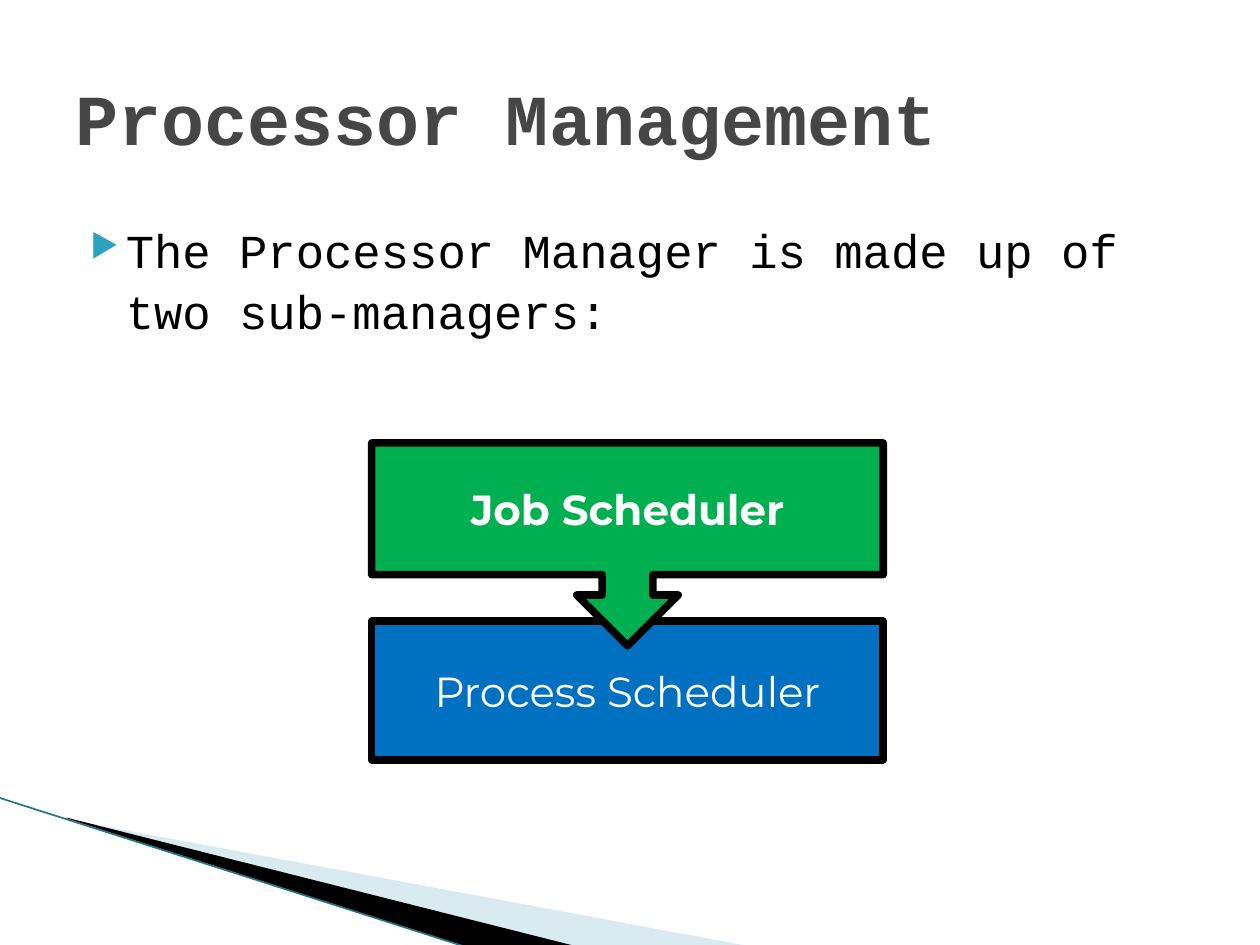
from dataclasses import dataclass

from lxml import etree
from pptx import Presentation
from pptx import util as u
from pptx.dml.color import RGBColor
from pptx.enum import shapes, text
from pptx.oxml import ns

Pt = u.Pt


@dataclass(frozen=True)
class Theme:
    title: str = "464646"
    ink: str = "000000"
    white: str = "FFFFFF"
    bullet: str = "2DA2BF"
    job: str = "00B050"
    process: str = "0070C0"
    swoosh: str = "A0CBDC"
    edge: str = "21768A"
    mono: str = "Courier New"
    sans: str = "Montserrat"
    title_size: float = 41
    body_size: float = 27
    box_size: float = 24
    outline: float = 4.33
    edge_width: float = 0.95


T = Theme()


def rgb(color):
    return RGBColor.from_string(color)


def add_run(p, words, font, size, color, bold=False):
    r = p.add_run()
    r.text = words
    r.font.name, r.font.size, r.font.bold = font, Pt(size), bold
    r.font.color.rgb = rgb(color)


def set_title(s, words):
    sp = s.shapes.title
    sp.left, sp.top, sp.width, sp.height = Pt(36), Pt(21.6), Pt(648), Pt(90)
    tf = sp.text_frame
    tf.vertical_anchor = text.MSO_ANCHOR.MIDDLE
    p = tf.paragraphs[0]
    p.alignment = text.PP_ALIGN.LEFT
    add_run(p, words, T.mono, T.title_size, T.title, True)


def add_bullet(p, char, color, percent):
    pPr = p._p.get_or_add_pPr()
    pPr.set("marL", str(Pt(28.8)))
    pPr.set("indent", str(Pt(-20.16)))
    clr = etree.SubElement(pPr, ns.qn("a:buClr"))
    etree.SubElement(clr, ns.qn("a:srgbClr"), val=color)
    etree.SubElement(pPr, ns.qn("a:buSzPct"), val=str(percent * 1000))
    etree.SubElement(pPr, ns.qn("a:buChar"), char=char)


def add_body(s, words):
    tf = s.shapes.add_textbox(Pt(36), Pt(120.6), Pt(648), Pt(100)).text_frame
    tf.word_wrap = True
    p = tf.paragraphs[0]
    add_bullet(p, "▶", T.bullet, 68)
    p.line_spacing = 1.07
    add_run(p, words, T.mono, T.body_size, T.ink)


def add_box(s, kind, at, fill, words, bold=False):
    sp = s.shapes.add_shape(kind, *map(Pt, at))
    sp.shadow.inherit = False
    sp.fill.solid()
    sp.fill.fore_color.rgb = rgb(fill)
    sp.line.color.rgb = rgb(T.ink)
    sp.line.width = Pt(T.outline)
    tf = sp.text_frame
    tf.word_wrap = True
    tf.vertical_anchor = text.MSO_ANCHOR.MIDDLE
    p = tf.paragraphs[0]
    p.alignment = text.PP_ALIGN.CENTER
    add_run(p, words, T.sans, T.box_size, T.white, bold)
    return sp


def turn_down(sp):
    sp.rotation = 90
    sp.text_frame._txBody.bodyPr.set("vert", "vert270")


def add_blade(s, points, color, alpha=100):
    start, *rest = [(Pt(x), Pt(y)) for x, y in points]
    builder = s.shapes.build_freeform(*start)
    builder.add_line_segments(rest, close=True)
    sp = builder.convert_to_shape()
    sp.shadow.inherit = False
    sp.line.fill.background()
    sp.fill.solid()
    sp.fill.fore_color.rgb = rgb(color)
    if alpha < 100:
        clr = sp._element.spPr.find(".//" + ns.qn("a:srgbClr"))
        etree.SubElement(clr, ns.qn("a:alpha"), val=str(alpha * 1000))


def add_edge(s, start, end):
    line = s.shapes.add_connector(shapes.MSO_CONNECTOR.STRAIGHT, *map(Pt, start + end))
    line.line.color.rgb = rgb(T.edge)
    line.line.width = Pt(T.edge_width)
    etree.SubElement(line._element.spPr, ns.qn("a:effectLst"))


def main():
    prs = Presentation()
    prs.slide_width, prs.slide_height = Pt(720), Pt(540)
    s = prs.slides.add_slide(prs.slide_layouts[5])
    add_blade(s, [(39.6, 468.5), (428.4, 540.7), (328.3, 540.7), (39.6, 468)], T.swoosh, 40)
    add_blade(s, [(38.2, 467.3), (329, 540.7), (267.8, 541.4), (38.9, 468)], T.ink)
    add_edge(s, (-0.7, 455.8), (267.1, 541.4))
    add_body(s, "The Processor Manager is made up of two sub-managers:")
    set_title(s, "Processor Management")
    add_box(s, shapes.MSO_SHAPE.RECTANGLE, (212.4, 355, 292.3, 79.2),
            T.process, "Process Scheduler")
    job = add_box(s, shapes.MSO_SHAPE.RIGHT_ARROW_CALLOUT, (300.6, 164.9, 115.9, 292.3),
                  T.job, "Job Scheduler", True)
    turn_down(job)
    prs.save("out.pptx")


if __name__ == "__main__":
    main()
